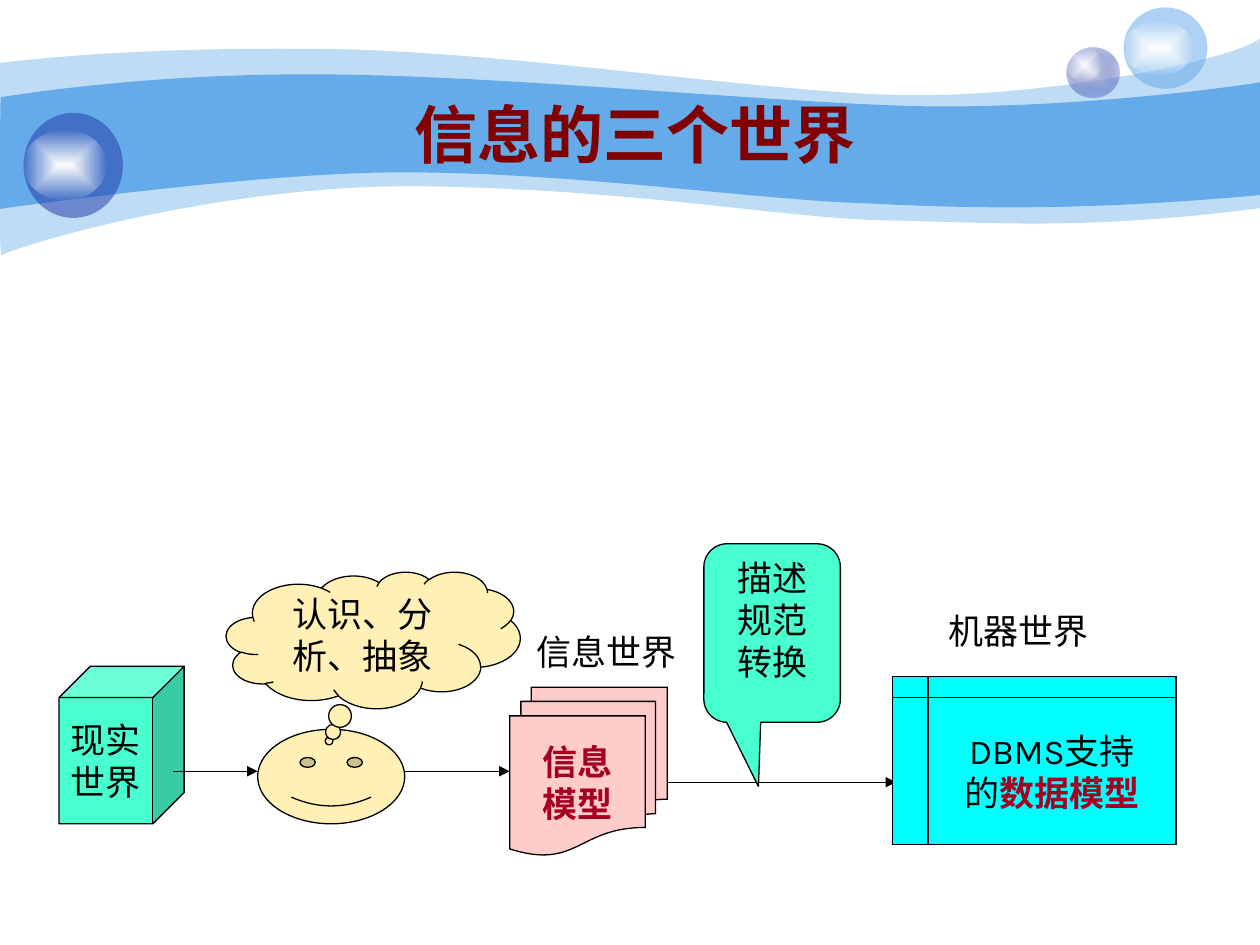
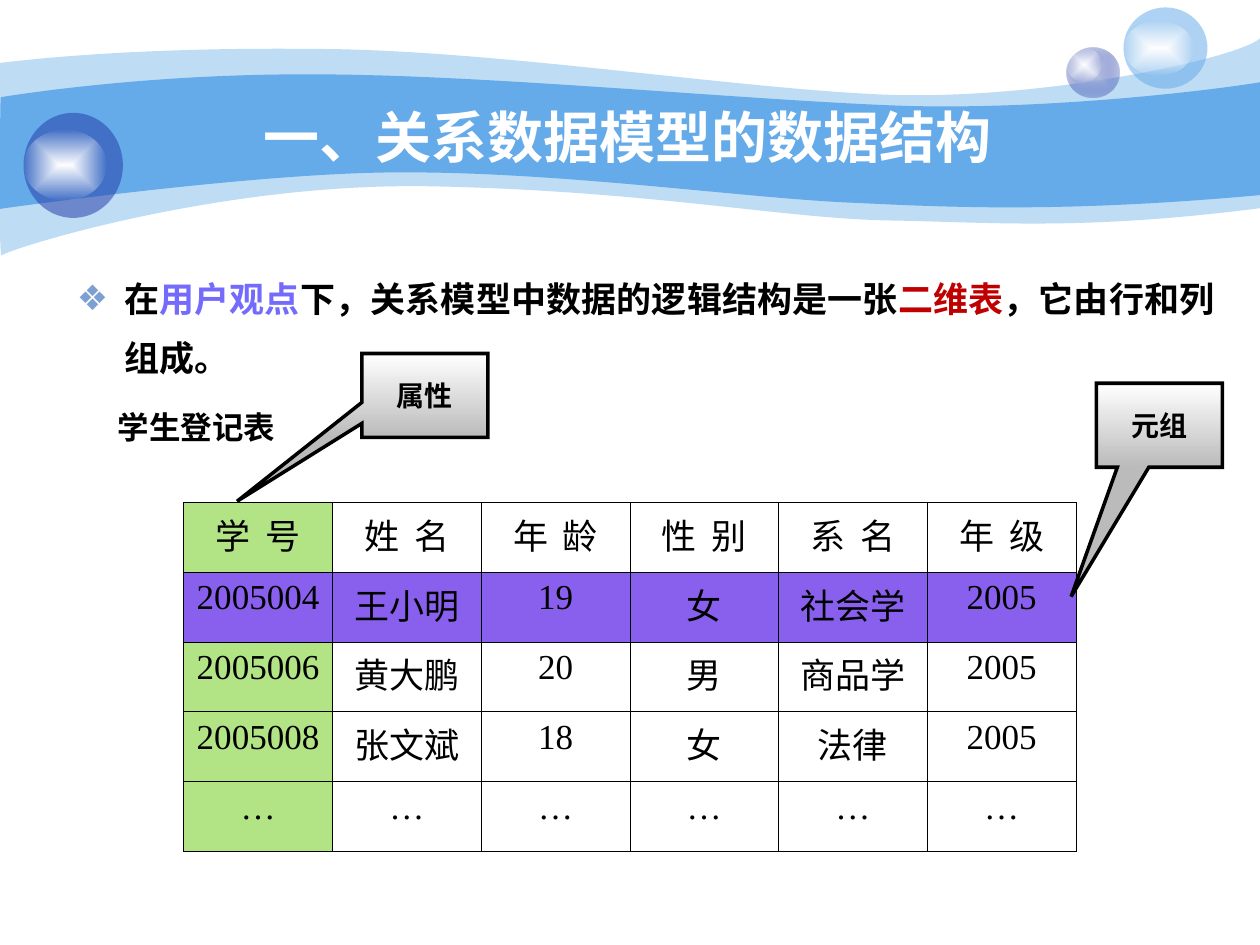
import dataclasses

import pptx
import pptx.dml.color
import pptx.enum.shapes
import pptx.enum.text
import pptx.oxml
import pptx.oxml.ns
import pptx.util

Pt = pptx.util.Pt
SHAPE = pptx.enum.shapes.MSO_SHAPE
ALIGN = pptx.enum.text.PP_ALIGN
ANCHOR = pptx.enum.text.MSO_ANCHOR
NS = pptx.oxml.ns.nsdecls("a")


@dataclasses.dataclass(frozen=True)
class Theme:
    black: str = "000000"
    white: str = "FFFFFF"
    sky: str = "65AAE9"
    navy: str = "233DA9"
    lavender: str = "C7CEE9"
    maroon: str = "800000"
    crimson: str = "A50021"
    red: str = "C00000"
    violet: str = "746AFC"
    bullet: str = "7DA0D3"
    mint: str = "47FFCF"
    cream: str = "FFF1B5"
    cyan: str = "00FFFF"
    pink: str = "FFCCCC"
    key_column: str = "B2E385"
    tuple_row: str = "8960EE"
    grey: str = "BBBBBB"
    cjk: str = "Noto Sans CJK SC"
    diagram: str = "Karla"
    body: str = "Arial"
    serif: str = "Times New Roman"
    title_big: int = 36
    title: int = 32
    text: int = 20
    caption: int = 18
    callout: int = 16


T = Theme()

# Bands: a start point, then segments of one point (line) or three (cubic curve).
BANDS = [
    (41, (0, 36), [
        [(17, 34), (77, 27), (178, 28)], [(278, 28), (414, 50), (503, 54)],
        [(592, 58), (706, 34), (720, 22)], [(720, 119)],
        [(618, 132), (567, 127), (508, 126)], [(448, 125), (371, 109), (247, 106.5)],
        [(124, 104), (3, 143), (1, 146)], [(-1, 150), (0, 54), (0, 36)]]),
    (100, (0.5, 55.5), [
        [(1.5, 55.5), (79, 42), (179, 42.5)], [(278, 42.5), (428, 57.5), (517, 60.5)],
        [(606, 63), (703, 50), (720, 47)], [(720, 111.5)],
        [(614, 121), (551, 119), (491, 116)], [(431, 114), (322, 98), (228, 98.5)],
        [(146, 98.5), (-1.5, 119.5), (-1, 119.5)], [(0, 119.5), (0, 55.5), (0.5, 55.5)]]),
]
# Bubbles: box, fill (colour and opacity, or gradient stops), box of the highlight.
BUBBLES = [
    ((609.5, 27, 30, 29), [(T.lavender, 100), (T.navy, 31)], (609.5, 27, 20, 19.5)),
    ((642, 4.25, 48, 46.5), (T.sky, 53), (642, 12, 40, 31)),
    ((13.5, 64.5, 56.75, 60), (T.navy, 53), (13.5, 74, 47.5, 40.5)),
]
TITLE_BOX = (72, 54, 582, 44.5)

# Text is a list of paragraphs; a paragraph is a list of (words, colour, bold).
WORLD_TITLE = [("信息的三个世界", T.maroon, True)]
REAL_WORLD = (SHAPE.CUBE, (33.75, 380.75, 71.5, 90), T.mint,
              [[("现实", T.black, False)], [("世界", T.black, False)]],
              dict(anchor=ANCHOR.MIDDLE, wrap=False))
ARROWS = [(99, 147.25, 440.75), (231, 291.25, 440.75), (379.5, 512, 447)]  # x1, x2, y
WORLD_SHAPES = [
    (SHAPE.SMILEY_FACE, (147.25, 416.75, 84, 54), T.cream, [], {}),
    (SHAPE.CLOUD_CALLOUT, (129.25, 326.75, 168, 78), T.cream,
     [[("认识、分析、抽象", T.black, False)]], dict(adj=(-0.15, 0.74), inset=(10, 0))),
    (SHAPE.FLOWCHART_INTERNAL_STORAGE, (510, 386.75, 162, 96), T.cyan,
     [[("DBMS支持", T.black, False)], [("的", T.black, False), ("数据模型", T.crimson, True)]],
     dict(anchor=ANCHOR.MIDDLE, wrap=False)),
    (SHAPE.FLOWCHART_MULTIDOCUMENT, (291.25, 392.75, 90, 96), T.pink,
     [[("信息", T.crimson, True)], [("模型", T.crimson, True)]],
     dict(anchor=ANCHOR.MIDDLE, wrap=False)),
    (SHAPE.ROUNDED_RECTANGULAR_CALLOUT, (402.25, 310.75, 78, 102), T.mint,
     [[("描述", T.black, False)], [("规范转换", T.black, False)]],
     dict(adj=(-0.1, 0.86, 0.17))),
]
WORLD_LABELS = [("机器世界", (522, 345, 120, 31.5)), ("信息世界", (296.5, 356.5, 100, 31.5))]

MODEL_TITLE = [("一、关系数据模型的数据结构", T.white, True), (" ", T.white, True)]
MODEL_TEXT = [[("在", T.black, True), ("用户观点", T.violet, True),
               ("下，关系模型中数据的逻辑结构是一张", T.black, True),
               ("二维表", T.red, True), ("，它由行和列组成。", T.black, True)]]
TABLE_NAME = "学生登记表"
STUDENTS = [
    ("学 号", "姓 名", "年 龄", "性 别", "系 名", "年 级"),
    ("2005004", "王小明", "19", "女", "社会学", "2005"),
    ("2005006", "黄大鹏", "20", "男", "商品学", "2005"),
    ("2005008", "张文斌", "18", "女", "法律", "2005"),
    ("…",) * 6,
]
TABLE_BOX = (105, 287, 510, 199.5)
CALLOUTS = [("属性", (206.75, 202, 72, 48), (-1.49, 1.26)),
            ("元组", (626.5, 219, 72, 48), (-0.7, 2.04))]


def rgb(color):
    return pptx.dml.color.RGBColor.from_string(color)


def pts(box):
    return [Pt(v) for v in box]


def xml(text):
    """Parse one element whose tags use the a: prefix."""
    return pptx.oxml.parse_xml(f"<a:root {NS}>{text}</a:root>")[0]


def place(sp, box):
    sp.left, sp.top, sp.width, sp.height = pts(box)


def write(tf, paras, font, size, align=ALIGN.CENTER, ea=None):
    """Fill a text frame; ea is the East Asian font, the same as font unless given."""
    for i, runs in enumerate(paras):
        p = tf.paragraphs[0] if i == 0 else tf.add_paragraph()
        p.alignment = align
        for words, color, bold in runs:
            r = p.add_run()
            r.text = words
            r.font.name, r.font.size, r.font.bold = font, Pt(size), bold
            r.font.color.rgb = rgb(color)
            r.font._element.append(xml(f'<a:ea typeface="{ea or font}"/>'))


def frame(tf, anchor=ANCHOR.TOP, wrap=True, inset=(7.2, 3.6)):
    tf.vertical_anchor, tf.word_wrap = anchor, wrap
    tf.margin_left = tf.margin_right = Pt(inset[0])
    tf.margin_top = tf.margin_bottom = Pt(inset[1])


def paint(sp, color, opacity=100):
    sp.shadow.inherit = False
    sp.fill.solid()
    sp.fill.fore_color.rgb = rgb(color)
    sp.line.fill.background()
    if opacity < 100:
        clr = sp.element.spPr.xpath("./a:solidFill/a:srgbClr")[0]
        clr.append(xml(f'<a:alpha val="{opacity * 1000}"/>'))


def gradient(sp, stops, direction):
    """Replace the solid fill by evenly spaced (colour, opacity) stops."""
    gs = "".join(f'<a:gs pos="{i * 100000}"><a:srgbClr val="{c}"><a:alpha val="{a * 1000}"/>'
                 "</a:srgbClr></a:gs>" for i, (c, a) in enumerate(stops))
    solid = sp.element.spPr.xpath("./a:solidFill")[0]
    grad = xml(f"<a:gradFill><a:gsLst>{gs}</a:gsLst>{direction}</a:gradFill>")
    solid.getparent().replace(solid, grad)


def outline(sp, width):
    sp.line.color.rgb = rgb(T.black)
    sp.line.width = Pt(width)
    sp.line._get_or_add_ln().append(xml('<a:miter lim="800000"/>'))


def add_band(s, opacity, start, segments):
    fb = s.shapes.build_freeform(*pts(start))
    fb.add_line_segments([pts(pt) for seg in segments for pt in seg], close=True)
    sp = fb.convert_to_shape()
    lines = iter(sp.element.spPr.xpath(".//a:lnTo"))
    for seg in segments:
        steps = [next(lines) for _ in seg]
        if len(seg) == 3:
            bezier = xml("<a:cubicBezTo/>")
            steps[0].addprevious(bezier)
            for step in steps:
                bezier.append(step[0])
                step.getparent().remove(step)
    paint(sp, T.sky, opacity)
    return sp


def add_ellipse(s, box, fill):
    center = ('<a:path path="rect"><a:fillToRect l="50000" t="50000" r="50000" b="50000"/>'
              "</a:path>")
    sp = s.shapes.add_shape(SHAPE.OVAL, *pts(box))
    if isinstance(fill, tuple):
        paint(sp, *fill)
    else:
        paint(sp, T.white)
        gradient(sp, fill, center)
    return sp


def decorate_master(prs, s):
    """Draw bands and bubbles on s, then move them to the master shared by all slides."""
    parts = [add_band(s, *band) for band in BANDS]
    for box, fill, shine in BUBBLES:
        parts.append(add_ellipse(s, box, fill))
        parts.append(add_ellipse(s, shine, [(T.white, 100), (T.white, 0)]))
    for i, sp in enumerate(parts):
        sp.element.nvSpPr.cNvPr.set("id", str(100 + i))
        prs.slide_master.shapes.element.append(sp.element)


def set_title(s, runs, font, size):
    sp = s.shapes.title
    place(sp, TITLE_BOX)
    frame(sp.text_frame, ANCHOR.MIDDLE)
    sp.text_frame.auto_size = pptx.enum.text.MSO_AUTO_SIZE.NONE
    write(sp.text_frame, [runs], font, size, ea=T.cjk)


def add_world_shape(s, kind, box, fill, paras, options):
    options = dict(options)
    sp = s.shapes.add_shape(kind, *pts(box))
    for i, value in enumerate(options.pop("adj", ())):
        sp.adjustments[i] = value
    paint(sp, fill)
    outline(sp, 0.75)
    frame(sp.text_frame, **options)
    write(sp.text_frame, paras, T.diagram, T.text)


def add_arrow(s, x1, x2, y):
    cn = s.shapes.add_connector(pptx.enum.shapes.MSO_CONNECTOR.STRAIGHT, *pts((x1, y, x2, y)))
    outline(cn, 0.75)
    cn.line._get_or_add_ln().append(xml('<a:tailEnd type="triangle"/>'))
    cn.element.spPr.append(xml("<a:effectLst/>"))


def add_label(s, words, box, font, size, bold=False, wrap=True, ea=None):
    tf = s.shapes.add_textbox(*pts(box)).text_frame
    frame(tf, wrap=wrap)
    write(tf, [[(words, T.black, bold)]], font, size, ea=ea)


def add_students(s):
    rows, cols = len(STUDENTS), len(STUDENTS[0])
    table = s.shapes.add_table(rows, cols, *pts(TABLE_BOX)).table
    table.first_row = table.horz_banding = False
    for row, values in enumerate(STUDENTS):
        for col, value in enumerate(values):
            cell = table.cell(row, col)
            write(cell.text_frame, [[(value, T.black, False)]], T.serif, T.text, ea=T.cjk)
            if row == 0:
                cell.text_frame.paragraphs[0].runs[0].font._element.set("spc", "200")
            tcPr = cell._tc.get_or_add_tcPr()
            for side in "LRTB":
                tcPr.append(xml(f'<a:ln{side} w="{Pt(0.45)}"><a:solidFill>'
                                f'<a:srgbClr val="{T.black}"/></a:solidFill></a:ln{side}>'))
            if row == 1 or col == 0:
                cell.fill.solid()
                cell.fill.fore_color.rgb = rgb(T.tuple_row if row == 1 else T.key_column)
            else:
                cell.fill.background()


def add_callout(s, words, box, tip):
    sp = s.shapes.add_shape(SHAPE.RECTANGULAR_CALLOUT, *pts(box))
    sp.adjustments[0], sp.adjustments[1] = tip
    paint(sp, T.white)
    gradient(sp, [(T.white, 100), (T.grey, 100)], '<a:lin ang="5400000" scaled="0"/>')
    outline(sp, 2)
    frame(sp.text_frame, ANCHOR.MIDDLE)
    write(sp.text_frame, [[(words, T.black, True)]], T.serif, T.callout, ea=T.body)


def build_worlds(s):
    set_title(s, WORLD_TITLE, T.cjk, T.title_big)
    add_world_shape(s, *REAL_WORLD)
    for arrow in ARROWS:
        add_arrow(s, *arrow)
    for shape in WORLD_SHAPES:
        add_world_shape(s, *shape)
    for words, box in WORLD_LABELS:
        add_label(s, words, box, T.diagram, T.text)


def build_model(s):
    set_title(s, MODEL_TITLE, T.body, T.title)
    s.shapes.title.text_frame.paragraphs[0].runs[-1].font.size = Pt(T.title_big)
    body = s.placeholders[1]
    place(body, (36.75, 145.5, 664.5, 79))
    frame(body.text_frame)
    body.text_frame.auto_size = pptx.enum.text.MSO_AUTO_SIZE.NONE
    p = body.text_frame.paragraphs[0]
    pPr = p._p.get_or_add_pPr()
    pPr.set("marL", str(Pt(27)))
    pPr.set("indent", str(-Pt(27)))
    pPr.append(xml(f'<a:buClr><a:srgbClr val="{T.bullet}"/></a:buClr>'))
    pPr.append(xml('<a:buChar char="❖"/>'))
    p.line_spacing, p.space_before = 1.4, Pt(0)
    write(body.text_frame, MODEL_TEXT, T.body, T.text, ALIGN.JUSTIFY)
    add_students(s)
    add_label(s, TABLE_NAME, (33, 229.5, 158.5, 29), T.serif, T.caption,
              bold=True, wrap=False, ea=T.body)
    for callout in CALLOUTS:
        add_callout(s, *callout)


def main():
    prs = pptx.Presentation()
    prs.slide_width, prs.slide_height = Pt(720), Pt(540)
    worlds = prs.slides.add_slide(prs.slide_layouts[5])
    model = prs.slides.add_slide(prs.slide_layouts[1])
    decorate_master(prs, worlds)
    build_worlds(worlds)
    build_model(model)
    prs.save("out.pptx")


if __name__ == "__main__":
    main()
